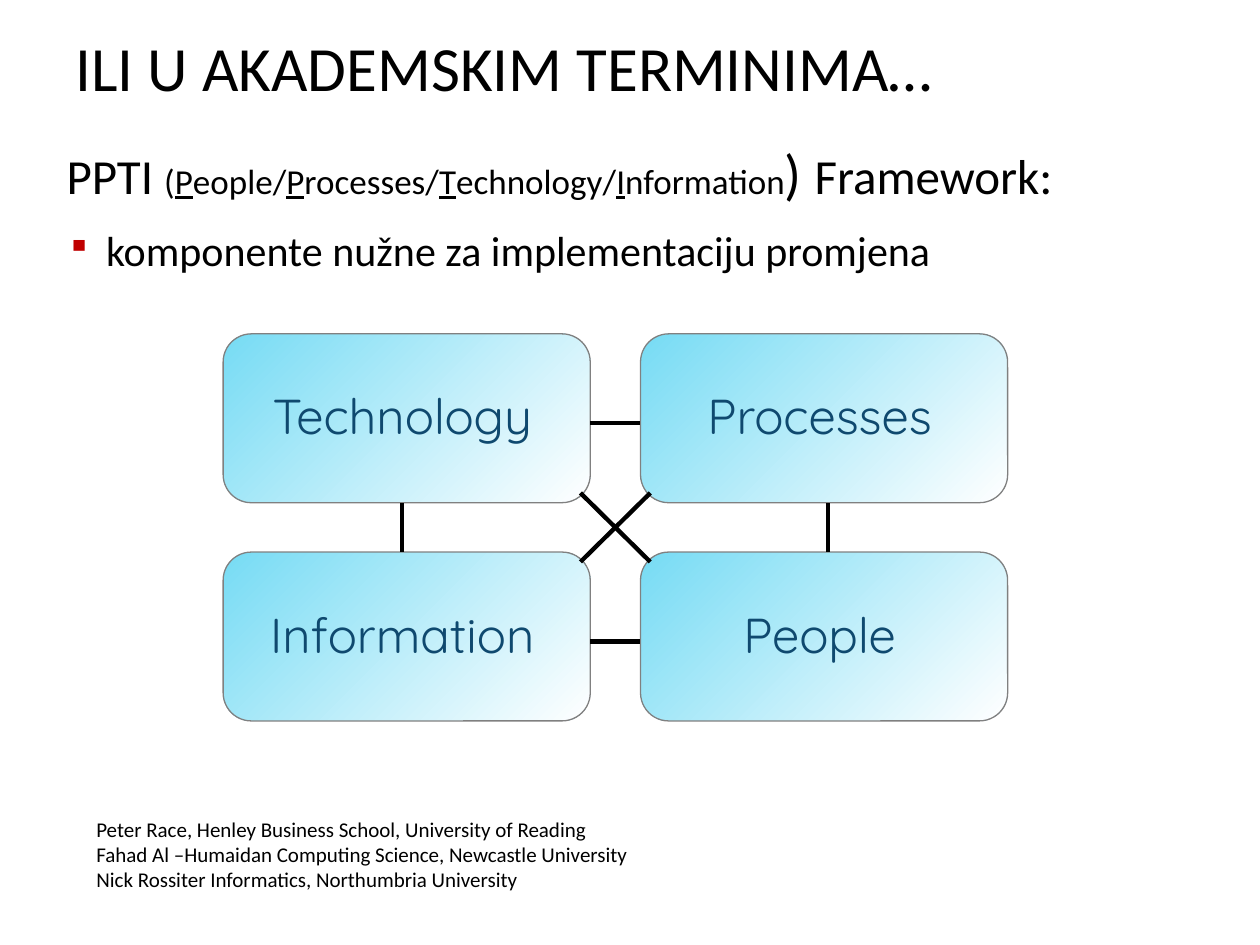
from dataclasses import dataclass

import lxml.etree
import pptx
import pptx.dml.color
import pptx.enum.shapes
import pptx.enum.text
import pptx.oxml.ns
import pptx.util

Pt = pptx.util.Pt
RGBColor = pptx.dml.color.RGBColor
qn = pptx.oxml.ns.qn
MIDDLE = pptx.enum.text.MSO_ANCHOR.MIDDLE

BLACK = RGBColor(0x00, 0x00, 0x00)
NAVY = RGBColor(0x0F, 0x49, 0x6F)
SKY = RGBColor(0x76, 0xDB, 0xF4)
WHITE = RGBColor(0xFF, 0xFF, 0xFF)
GRAY = RGBColor(0x80, 0x80, 0x80)
BULLET_RED = "C00000"

COLUMNS = (127.5, 366)
ROWS = (190.8, 315.5)
BOX_WIDTH, BOX_HEIGHT = 209.8, 96.5
LABEL_WIDTH, LABEL_HEIGHT = 181.5, 59
LABEL_DX, LABEL_DY = 11.6, 17
BODY_INDENT = 22.5


@dataclass(frozen=True)
class Component:
    name: str
    column: int
    row: int


@dataclass(frozen=True)
class Link:
    x1: float
    y1: float
    x2: float
    y2: float


@dataclass(frozen=True)
class Span:
    text: str
    size: float
    underline: bool = False


COMPONENTS = (
    Component("Technology", 0, 0),
    Component("Processes", 1, 0),
    Component("Information", 0, 1),
    Component("People", 1, 1),
)

GAP_LEFT, GAP_RIGHT = COLUMNS[0] + BOX_WIDTH, COLUMNS[1]
GAP_TOP, GAP_BOTTOM = ROWS[0] + BOX_HEIGHT, ROWS[1]
OVERLAP = 5.6  # how far the diagonals reach into the rounded corners

VERTICALS = [Link(x, GAP_TOP, x, GAP_BOTTOM) for x in (229.7, 473)]
HORIZONTALS = [Link(GAP_LEFT, top + 51, GAP_RIGHT, top + 51) for top in ROWS]
DIAGONALS = [
    Link(GAP_LEFT - OVERLAP, start, GAP_RIGHT + OVERLAP, end)
    for start, end in (
        (GAP_BOTTOM + OVERLAP, GAP_TOP - OVERLAP),
        (GAP_TOP - OVERLAP, GAP_BOTTOM + OVERLAP),
    )
]

FRAMEWORK_SPANS = [Span("PPTI ", 28), Span("(", 20)]
for word, tail in (("People", "/"), ("Processes", "/"),
                   ("Technology", "/"), ("Information", "")):
    FRAMEWORK_SPANS += [Span(word[0], 20, True), Span(word[1:] + tail, 20)]
FRAMEWORK_SPANS += [Span(") ", 32), Span("Framework:", 28)]

SOURCES = (
    "Peter Race, Henley Business School, University of Reading",
    "Fahad Al –Humaidan Computing Science, Newcastle University",
    "Nick Rossiter Informatics, Northumbria University",
)


def add_text_box(page, left: float, top: float, width: float, height: float):
    box = page.shapes.add_textbox(Pt(left), Pt(top), Pt(width), Pt(height))
    box.text_frame.word_wrap = True
    return box.text_frame


def style_font(font, size: float, color: RGBColor = BLACK,
               name: str = "Calibri") -> None:
    font.name = name
    font.size = Pt(size)
    font.color.rgb = color


def add_title(page) -> None:
    frame = add_text_box(page, 36, 10, 648, 55.5)
    frame.vertical_anchor = MIDDLE
    frame.text = "ILI U AKADEMSKIM TERMINIMA…"
    style_font(frame.paragraphs[0].runs[0].font, 36)


def set_hanging_indent(para, indent: float, bullet: str = "") -> None:
    properties = para._p.get_or_add_pPr()
    properties.set("marL", str(Pt(indent)))
    properties.set("indent", str(-Pt(indent)))
    if bullet:
        color = lxml.etree.SubElement(properties, qn("a:buClr"))
        lxml.etree.SubElement(color, qn("a:srgbClr"), val=BULLET_RED)
        lxml.etree.SubElement(properties, qn("a:buSzPct"), val="80000")
        lxml.etree.SubElement(properties, qn("a:buChar"), char=bullet)


def add_body(page) -> None:
    frame = add_text_box(page, 31, 77, 674.5, 82)
    frame.vertical_anchor = MIDDLE
    framework = frame.paragraphs[0]
    for span in FRAMEWORK_SPANS:
        run = framework.add_run()
        run.text = span.text
        style_font(run.font, span.size)
        run.font.underline = span.underline
    point = frame.add_paragraph()
    point.text = "komponente nužne za implementaciju promjena"
    style_font(point.runs[0].font, 24)
    for para, before, bullet in ((framework, 6, ""), (point, 5, "▪")):
        para.space_before = Pt(before)
        para.space_after = Pt(6)
        set_hanging_indent(para, BODY_INDENT, bullet)


def add_component_box(page, component: Component) -> None:
    box = page.shapes.add_shape(
        pptx.enum.shapes.MSO_SHAPE.ROUNDED_RECTANGLE,
        Pt(COLUMNS[component.column]), Pt(ROWS[component.row]),
        Pt(BOX_WIDTH), Pt(BOX_HEIGHT))
    box.shadow.inherit = False
    box.fill.gradient()
    box.fill.gradient_angle = 315
    for stop, color in zip(box.fill.gradient_stops, (SKY, WHITE)):
        stop.color.rgb = color
    box.line.color.rgb = GRAY
    box.line.width = Pt(0.75)


def add_component_label(page, component: Component) -> None:
    frame = add_text_box(
        page, COLUMNS[component.column] + LABEL_DX,
        ROWS[component.row] + LABEL_DY, LABEL_WIDTH, LABEL_HEIGHT)
    frame.vertical_anchor = MIDDLE
    frame.text = component.name
    para = frame.paragraphs[0]
    para.alignment = pptx.enum.text.PP_ALIGN.CENTER
    para.space_before = Pt(5.6)
    style_font(para.runs[0].font, 28, NAVY, "Quicksand")


def add_link(page, link: Link) -> None:
    line = page.shapes.add_connector(
        pptx.enum.shapes.MSO_CONNECTOR.STRAIGHT,
        Pt(link.x1), Pt(link.y1), Pt(link.x2), Pt(link.y2))
    line.line.color.rgb = BLACK
    line.line.width = Pt(2.5)
    lxml.etree.SubElement(line._element.spPr, qn("a:effectLst"))


def add_sources(page) -> None:
    frame = add_text_box(page, 48, 463, 629, 51)
    frame.text = "\n".join(SOURCES)
    frame.paragraphs[0].space_before = Pt(2.4)
    for para in frame.paragraphs:
        style_font(para.runs[0].font, 12)


def main() -> None:
    deck = pptx.Presentation()
    deck.slide_width, deck.slide_height = Pt(720), Pt(540)
    page = deck.slides.add_slide(deck.slide_layouts[6])
    add_title(page)
    add_body(page)
    for component in COMPONENTS:
        add_component_box(page, component)
    add_sources(page)
    for component in COMPONENTS:
        add_component_label(page, component)
    for link in VERTICALS + HORIZONTALS + DIAGONALS:
        add_link(page, link)
    deck.save("out.pptx")


if __name__ == "__main__":
    main()
